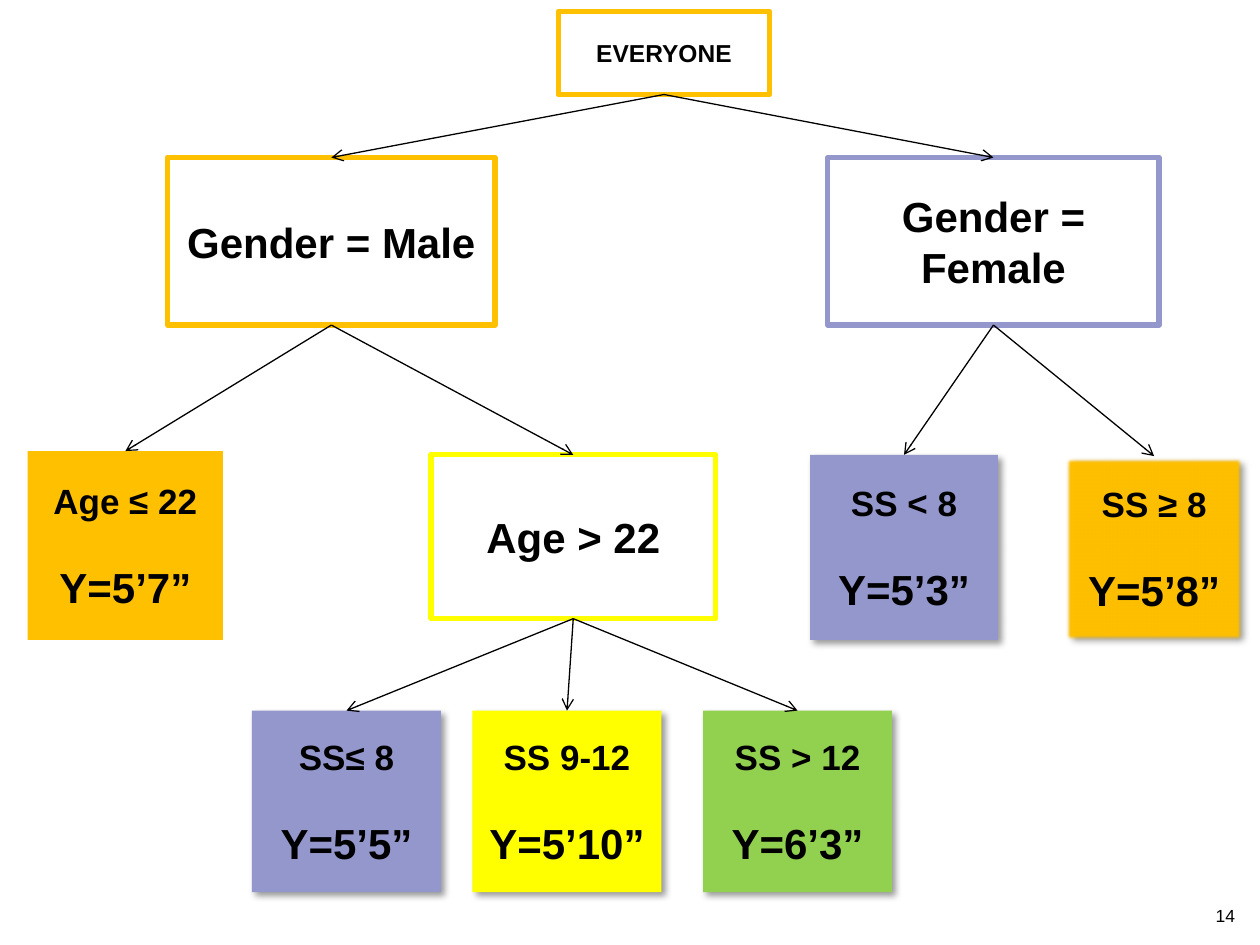
from lxml import etree
from pptx import Presentation
from pptx import util as u
from pptx.dml.color import RGBColor
from pptx.enum import shapes, text
from pptx.oxml import parse_xml
from pptx.oxml.ns import nsdecls, qn

HUES = {
    "ink": "000000",
    "paper": "FFFFFF",
    "gold": "FFC000",
    "lilac": "9497CC",
    "yellow": "FFFF00",
    "green": "92D050",
}
SHADE = (
    '<a:outerShdw blurRad="50800" dist="38100" dir="2700000" algn="tl" rotWithShape="0">'
    '<a:srgbClr val="000000"><a:alpha val="40000"/></a:srgbClr></a:outerShdw>'
)
BLUR = '<a:softEdge rad="25400"/>'


def hue(name):
    return RGBColor.from_string(HUES[name])


class Tree:
    font = "Arial"

    def __init__(self, slide):
        self.slide = slide

    def style(self, para, size, bold=True):
        for run in para.runs:
            run.font.name = self.font
            run.font.size = u.Pt(size)
            run.font.bold = bold
            run.font.color.rgb = hue("ink")

    def rect(self, area, fill, lines):
        box = self.slide.shapes.add_shape(
            shapes.MSO_SHAPE.RECTANGLE, *map(u.Inches, area))
        box.shadow.inherit = False
        box.fill.solid()
        box.fill.fore_color.rgb = hue(fill)
        box.line.fill.background()
        frame = box.text_frame
        frame.word_wrap = True
        frame.vertical_anchor = text.MSO_ANCHOR.MIDDLE
        frame.text = "\n".join(lines)
        for para in frame.paragraphs:
            para.alignment = text.PP_ALIGN.CENTER
        return box

    def node(self, area, edge, label, size=24):
        box = self.rect(area, "paper", [label])
        box.line.color.rgb = hue(edge)
        box.line.width = u.Pt(3)
        self.style(box.text_frame.paragraphs[0], size)
        return box

    def leaf(self, area, fill, rule, value, effect=SHADE):
        box = self.rect(area, fill, [rule, value])
        head, foot = box.text_frame.paragraphs
        self.style(head, 20)
        self.style(foot, 24)
        foot.space_before = u.Pt(23)
        props = box._element.spPr
        props.remove(props.find(qn("a:effectLst")))
        props.append(parse_xml(f'<a:effectLst {nsdecls("a")}>{effect}</a:effectLst>'))
        return box

    def link(self, start, *ends):
        for end in ends:
            line = self.slide.shapes.add_connector(
                shapes.MSO_CONNECTOR.STRAIGHT, 0, 0, 0, 0)
            line.begin_connect(start, 2)
            line.end_connect(end, 0)
            line.line.color.rgb = hue("ink")
            line.line.width = u.Pt(0.75)
            etree.SubElement(line.line._get_or_add_ln(), qn("a:tailEnd"), type="arrow")
            etree.SubElement(line._element.spPr, qn("a:effectLst"))

    def note(self, area, label):
        box = self.slide.shapes.add_textbox(*map(u.Inches, area))
        frame = box.text_frame
        frame.word_wrap = False
        frame.text = label
        para = frame.paragraphs[0]
        para.line_spacing = 1.5
        para.space_before = u.Pt(6)
        self.style(para, 10, False)


def main():
    deck = Presentation()
    deck.slide_width, deck.slide_height = u.Inches(10), u.Inches(7.5)
    tree = Tree(deck.slides.add_slide(deck.slide_layouts[6]))

    root = tree.node((4.43, 0.09, 1.68, 0.66), "gold", "EVERYONE", 14)
    male = tree.node((1.33, 1.25, 2.6, 1.33), "gold", "Gender = Male")
    female = tree.node((6.57, 1.25, 2.63, 1.33), "lilac", "Gender = Female")
    young = tree.leaf((0.22, 3.58, 1.55, 1.5), "gold", "Age ≤ 22", "Y=5’7”", "")
    older = tree.node((3.42, 3.61, 2.26, 1.3), "yellow", "Age > 22")
    small = tree.leaf((6.43, 3.61, 1.49, 1.47), "lilac", "SS < 8", "Y=5’3”")
    large = tree.leaf((8.45, 3.62, 1.42, 1.47), "gold", "SS ≥ 8", "Y=5’8”", SHADE + BLUR)
    sizes = [
        tree.leaf((left, 5.64, 1.5, 1.44), fill, rule, value)
        for left, fill, rule, value in (
            (2, "lilac", "SS≤ 8", "Y=5’5”"),
            (3.75, "yellow", "SS 9-12", "Y=5’10”"),
            (5.58, "green", "SS > 12", "Y=6’3”"),
        )
    ]

    tree.link(root, male, female)
    tree.link(male, young, older)
    tree.link(female, small, large)
    tree.link(older, *sizes)
    tree.note((9.55, 7.05, 0.37, 0.34), "14")
    deck.save("out.pptx")


if __name__ == "__main__":
    main()
